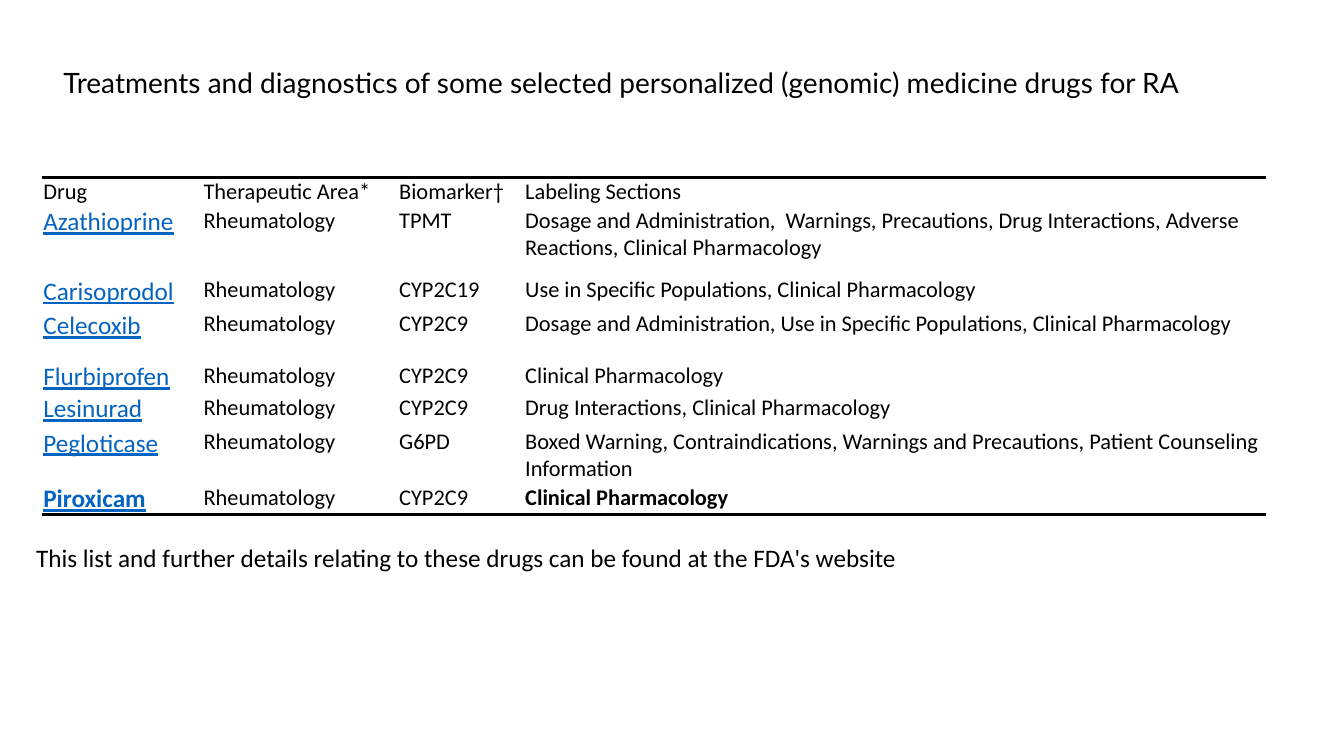
from lxml.etree import SubElement
from pptx import Presentation
from pptx.dml.color import RGBColor
from pptx.enum.text import MSO_ANCHOR, MSO_AUTO_SIZE
from pptx.oxml.ns import qn
from pptx.util import Inches, Pt

BLACK, WHITE, LINK_BLUE = "000000", "FFFFFF", "0563C1"
PLAIN_TABLE_STYLE = "{2D5ABB26-0587-4C30-8999-92F81FD0307C}"

HEADINGS = ("Drug", "Therapeutic Area*", "Biomarker†", "Labeling Sections")
# Drug, biomarker, labeling sections, row height
DRUGS = [
    ("Azathioprine", "TPMT", "Dosage and Administration,  Warnings, Precautions, "
     "Drug Interactions, Adverse Reactions, Clinical Pharmacology", 0.69),
    ("Carisoprodol", "CYP2C19",
     "Use in Specific Populations, Clinical Pharmacology", 0.34),
    ("Celecoxib", "CYP2C9", "Dosage and Administration, "
     "Use in Specific Populations, Clinical Pharmacology", 0.51),
    ("Flurbiprofen", "CYP2C9", "Clinical Pharmacology", 0.21),
    ("Lesinurad", "CYP2C9", "Drug Interactions, Clinical Pharmacology", 0.34),
    ("Pegloticase", "G6PD", "Boxed Warning, Contraindications, "
     "Warnings and Precautions, Patient Counseling Information", 0.51),
    ("Piroxicam", "CYP2C9", "Clinical Pharmacology", 0.2),
]
HEADING_HEIGHT = 0.21
COLUMN_WIDTHS = (1.59, 1.94, 1.25, 7.36)


def rgb(color):
    return RGBColor.from_string(color)


def write(frame, text, color=BLACK, **font_format):
    paragraph = frame.paragraphs[0]
    run = paragraph.add_run()
    run.text = text
    run.font.color.rgb = rgb(color)
    for attribute, value in font_format.items():
        setattr(run.font, attribute, value)


def add_line_of_text(slide, box, text, size, font_name):
    frame = slide.shapes.add_textbox(*map(Inches, box)).text_frame
    frame.word_wrap = True
    frame.auto_size = MSO_AUTO_SIZE.SHAPE_TO_FIT_TEXT
    write(frame, text, size=Pt(size), name=font_name)


def rule_cell(cell, side, color=BLACK, points=2):
    """Draw a border on the top ("T") or bottom ("B") of a cell."""
    properties = cell._tc.get_or_add_tcPr()
    border = SubElement(properties, qn(f"a:ln{side}"), w=str(Pt(points)))
    fill = SubElement(border, qn("a:solidFill"))
    SubElement(fill, qn("a:srgbClr"), val=color)
    properties.insert(0, border)


def format_cell(cell, anchor):
    cell_format = {
        "margin_left": Inches(0.01), "margin_right": Inches(0.01),
        "margin_top": Inches(0.01), "margin_bottom": 0,
        "vertical_anchor": anchor,
    }
    for attribute, value in cell_format.items():
        setattr(cell, attribute, value)
    cell.fill.solid()
    cell.fill.fore_color.rgb = rgb(WHITE)


def add_drug_table(slide, left, top):
    rows = [HEADINGS] + [(drug, "Rheumatology", biomarker, sections)
                         for drug, biomarker, sections, _ in DRUGS]
    heights = [HEADING_HEIGHT] + [height for *_, height in DRUGS]
    box = (left, top, sum(COLUMN_WIDTHS), sum(heights))
    table = slide.shapes.add_table(
        len(rows), len(HEADINGS), *map(Inches, box)).table
    table.first_row = table.horz_banding = False
    table._tbl.tblPr.find(qn("a:tableStyleId")).text = PLAIN_TABLE_STYLE
    for column, width in zip(table.columns, COLUMN_WIDTHS):
        column.width = Inches(width)

    last = len(rows) - 1
    for r, (texts, height) in enumerate(zip(rows, heights)):
        table.rows[r].height = Inches(height)
        for c, text in enumerate(texts):
            cell = table.cell(r, c)
            format_cell(cell, MSO_ANCHOR.TOP if r else MSO_ANCHOR.BOTTOM)
            is_drug = r > 0 and c == 0
            write(cell.text_frame, text, LINK_BLUE if is_drug else BLACK,
                  size=Pt(18 if is_drug else 16), name="Calibri",
                  underline=is_drug, bold=r == last and c in (0, 3))
            if r == 0:
                rule_cell(cell, "T")
            elif r == last:
                rule_cell(cell, "B")


def main():
    presentation = Presentation()
    presentation.slide_width = Inches(13.33)
    presentation.slide_height = Inches(7.5)
    slide = presentation.slides.add_slide(presentation.slide_layouts[6])
    add_drug_table(slide, 0.42, 1.76)
    add_line_of_text(
        slide, (0.53, 0.6, 11.95, 0.44),
        "Treatments and diagnostics of some selected personalized (genomic) "
        "medicine drugs for RA", 20, "Lato")
    add_line_of_text(
        slide, (0.26, 5.33, 12.79, 0.4),
        "This list and further details relating to these drugs can be found "
        "at the FDA's website", 18, "Calibri")
    presentation.save("out.pptx")


if __name__ == "__main__":
    main()
